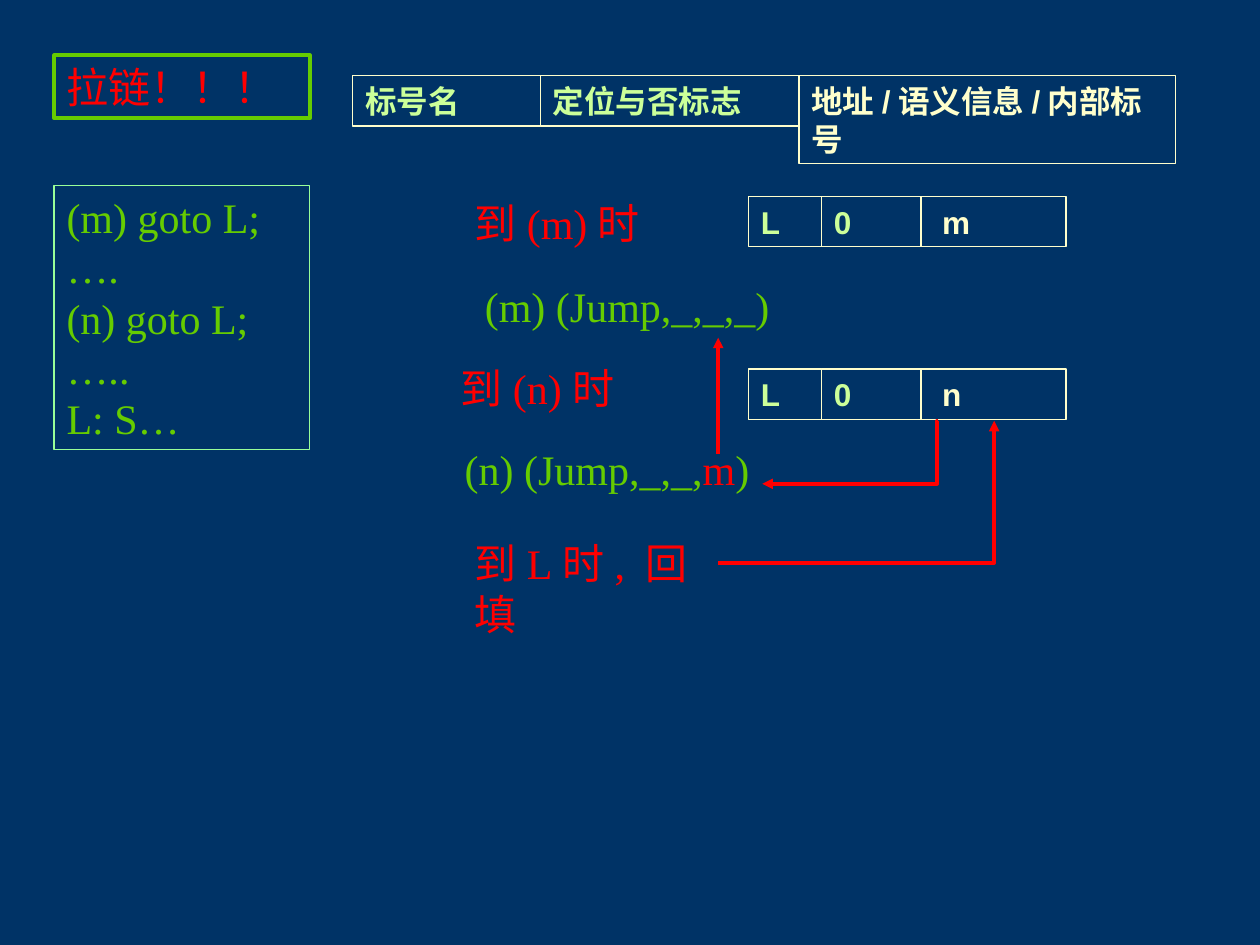
from typing import NamedTuple, Optional

from lxml.etree import SubElement
from pptx import Presentation
from pptx.dml.color import RGBColor
from pptx.enum.shapes import MSO_CONNECTOR as Conn, MSO_SHAPE as Shape
from pptx.enum.text import MSO_ANCHOR as Anchor, MSO_AUTO_SIZE as AutoSize, PP_ALIGN as Align
from pptx.oxml.ns import qn
from pptx.util import Inches, Pt

COLORS = {
    "navy": "003366",
    "cream": "FFFFCC",
    "lime": "CCFF99",
    "mint": "99FF99",
    "green": "66CC00",
    "red": "FF0000",
}


class Run(NamedTuple):
    text: str
    color: str


class Style(NamedTuple):
    font: str
    size: int
    bold: bool


class Box(NamedTuple):
    left: float
    top: float
    width: float
    height: float
    lines: list[list[Run]]
    border: Optional[str] = None
    border_width: float = 0.75


class Row(NamedTuple):
    left: float
    top: float
    widths: list[float]
    heights: list[float]
    texts: list[str]


class Arrow(NamedTuple):
    kind: Conn
    start: tuple[float, float]
    end: tuple[float, float]
    preset: Optional[str] = None
    bend: Optional[int] = None


BODY = Style("Times New Roman", 24, False)
CELL = Style("Arial", 18, True)
CELL_COLORS = ["lime", "lime", "cream"]


def rgb(name: str) -> RGBColor:
    return RGBColor.from_string(COLORS[name])


def draw_box(shapes, box: Box, style: Style) -> None:
    area = [Inches(v) for v in box[:4]]
    if box.border:
        sp = shapes.add_shape(Shape.RECTANGLE, *area)
        sp.shadow.inherit = False
        sp.fill.background()
        sp.line.color.rgb = rgb(box.border)
        sp.line.width = Pt(box.border_width)
    else:
        sp = shapes.add_textbox(*area)
    tf = sp.text_frame
    tf.word_wrap = True
    tf.auto_size = AutoSize.SHAPE_TO_FIT_TEXT
    tf.vertical_anchor = Anchor.TOP
    for i, line in enumerate(box.lines):
        p = tf.add_paragraph() if i else tf.paragraphs[0]
        p.alignment = Align.LEFT
        for run in line:
            r = p.add_run()
            r.text = run.text
            r.font.name = style.font
            r.font.size = Pt(style.size)
            r.font.bold = style.bold
            r.font.color.rgb = rgb(run.color)


def draw_row(shapes, row: Row) -> None:
    group = shapes.add_group_shape()
    left = row.left
    for width, height, text, color in zip(row.widths, row.heights, row.texts, CELL_COLORS):
        box = Box(left, row.top, width, height, [[Run(text, color)]], "cream")
        draw_box(group.shapes, box, CELL)
        left += width


def draw_arrow(shapes, arrow: Arrow) -> None:
    ends = [Inches(v) for v in arrow.start + arrow.end]
    cx = shapes.add_connector(arrow.kind, *ends)
    cx.line.color.rgb = rgb("red")
    cx.line.width = Pt(2)
    SubElement(cx.line._get_or_add_ln(), qn("a:tailEnd"), type="triangle")
    props = cx._element.spPr
    SubElement(props, qn("a:effectLst"))
    geom = props.find(qn("a:prstGeom"))
    if arrow.preset:
        geom.set("prst", arrow.preset)
    if arrow.bend is not None:
        guides = geom.find(qn("a:avLst"))
        SubElement(guides, qn("a:gd"), name="adj1", fmla=f"val {arrow.bend}")


CODE = ["(m) goto L;", "….", "(n) goto L;", "…..", "L: S…"]

BOXES = [
    # Title and source code
    Box(0.43, 0.44, 2.03, 0.5, [[Run("拉链！！！", "red")]], "green", 2.25),
    Box(0.43, 1.47, 2.03, 2.1, [[Run(line, "green")] for line in CODE], "mint"),
    # Steps and generated jumps
    Box(3.67, 1.52, 2.03, 0.5, [[Run("到(m)时", "red")]]),
    Box(3.75, 2.18, 2.66, 0.5, [[Run("(m) (Jump,_,_,_)", "green")]]),
    Box(3.56, 2.83, 2.03, 0.5, [[Run("到(n)时", "red")]]),
    Box(3.59, 3.47, 2.66, 0.5,
        [[Run("(n) (Jump,_,_,", "green"), Run("m", "red"), Run(")", "green")]]),
    Box(3.67, 4.22, 2.03, 0.9, [[Run("到L时, 回填", "red")]]),
]

ENTRY_WIDTHS = [0.58, 0.79, 1.15]
ENTRY_HEIGHTS = [0.4] * 3
ROWS = [
    Row(2.8, 0.6, [1.49, 2.05, 2.99], [0.4, 0.4, 0.7],
        ["标号名", "定位与否标志", "地址/语义信息/内部标号"]),
    Row(5.94, 1.56, ENTRY_WIDTHS, ENTRY_HEIGHTS, ["L", "0", " m"]),
    Row(5.94, 2.93, ENTRY_WIDTHS, ENTRY_HEIGHTS, ["L", "0", " n"]),
]

ARROWS = [
    Arrow(Conn.ELBOW, (5.7, 4.47), (7.89, 3.34), preset="bentConnector2"),
    Arrow(Conn.ELBOW, (7.44, 3.34), (6.05, 3.84), bend=200),
    Arrow(Conn.STRAIGHT, (5.7, 3.6), (5.7, 2.68)),
]


def main() -> None:
    prs = Presentation()
    prs.slide_width, prs.slide_height = Inches(10), Inches(7.5)
    s = prs.slides.add_slide(prs.slide_layouts[6])
    s.background.fill.solid()
    s.background.fill.fore_color.rgb = rgb("navy")

    # Symbol table header and entries
    for row in ROWS:
        draw_row(s.shapes, row)
    for box in BOXES:
        draw_box(s.shapes, box, BODY)
    # Chain links and backfill
    for arrow in ARROWS:
        draw_arrow(s.shapes, arrow)

    prs.save("out.pptx")


if __name__ == "__main__":
    main()
